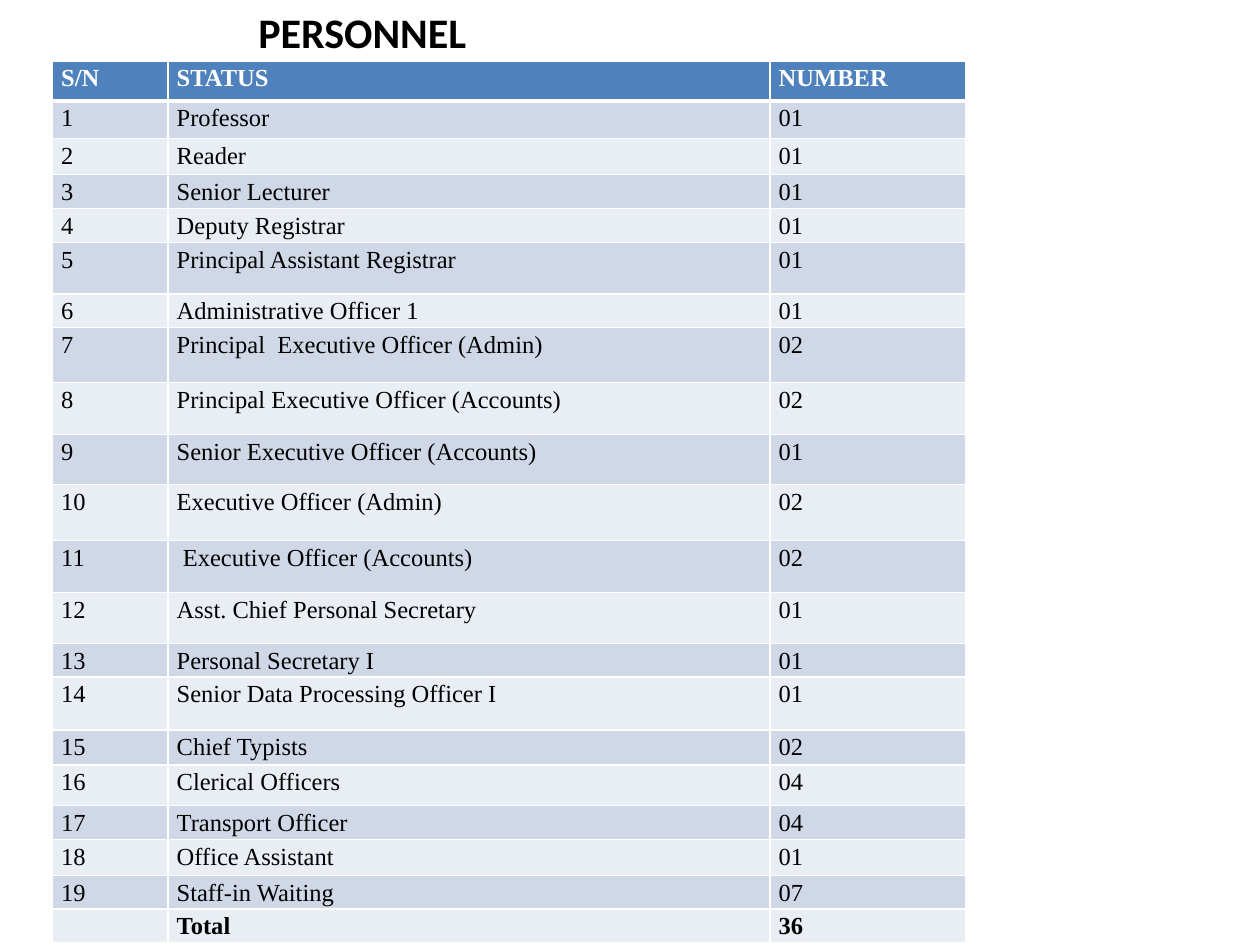
"""Builds the personnel slide: a title above a table of posts and head counts."""
from dataclasses import dataclass

from lxml import etree
from pptx import Presentation
from pptx import util as u
from pptx.dml.color import RGBColor
from pptx.enum import text
from pptx.oxml.ns import qn


@dataclass(frozen=True)
class Theme:
    white: str = "FFFFFF"
    black: str = "000000"
    header: str = "4F81BD"
    bands: tuple = ("D0D8E8", "E9EDF4")
    title_font: str = "Calibri"
    table_font: str = "Times New Roman"
    title_size: float = 24
    table_size: float = 14
    line: float = 1
    header_line: float = 3


class SlideBuilder:
    def __init__(self, slide, theme):
        self.slide = slide
        self.theme = theme

    def style(self, paragraph, font, size, colour, bold):
        for run in paragraph.runs:
            run.font.name = font
            run.font.size = u.Pt(size)
            run.font.bold = bold
            run.font.color.rgb = RGBColor.from_string(colour)

    def title(self, wording, left, top, width, height):
        heading = self.slide.shapes.title
        heading.left, heading.top = u.Pt(left), u.Pt(top)
        heading.width, heading.height = u.Pt(width), u.Pt(height)
        frame = heading.text_frame
        frame.text = wording
        frame.word_wrap = True
        frame.auto_size = text.MSO_AUTO_SIZE.SHAPE_TO_FIT_TEXT
        frame.vertical_anchor = text.MSO_ANCHOR.TOP
        paragraph = frame.paragraphs[0]
        paragraph.alignment = text.PP_ALIGN.CENTER
        self.style(paragraph, self.theme.title_font, self.theme.title_size,
                   self.theme.black, True)

    def borders(self, cell, widths):
        properties = cell._tc.get_or_add_tcPr()
        for position, (side, width) in enumerate(widths.items()):
            line = etree.Element(qn(f"a:ln{side}"), w=str(u.Pt(width)))
            fill = etree.SubElement(line, qn("a:solidFill"))
            etree.SubElement(fill, qn("a:srgbClr"), val=self.theme.white)
            properties.insert(position, line)

    def cell(self, cell, wording, fill, colour, bold, alignment, widths):
        cell.margin_left = cell.margin_right = u.Pt(5)
        cell.margin_top = cell.margin_bottom = 0
        cell.fill.solid()
        cell.fill.fore_color.rgb = RGBColor.from_string(fill)
        cell.text_frame.text = wording
        paragraph = cell.text_frame.paragraphs[0]
        paragraph.alignment = alignment
        paragraph.line_spacing = 1.15
        self.style(paragraph, self.theme.table_font, self.theme.table_size, colour, bold)
        if not wording:
            etree.SubElement(paragraph._p, qn("a:endParaRPr"),
                             sz=str(self.theme.table_size * 100))
        self.borders(cell, widths)

    def table(self, rows, left, top, widths, heights):
        theme = self.theme
        grid = self.slide.shapes.add_table(
            len(rows), len(widths), u.Pt(left), u.Pt(top),
            u.Pt(sum(widths)), u.Pt(sum(heights))).table
        for column, width in zip(grid.columns, widths):
            column.width = u.Pt(width)
        for row, height in zip(grid.rows, heights):
            row.height = u.Pt(height)
        last = len(rows) - 1
        for i, row in enumerate(rows):
            fill = theme.bands[(i - 1) % 2] if i else theme.header
            colour = theme.black if i else theme.white
            sides = {"L": theme.line, "R": theme.line,
                     "T": theme.header_line if i == 1 else theme.line,
                     "B": theme.line if i else theme.header_line}
            for j, wording in enumerate(row):
                is_count = 0 < i < last and j == 2
                alignment = text.PP_ALIGN.LEFT if is_count else text.PP_ALIGN.JUSTIFY
                self.cell(grid.cell(i, j), wording, fill, colour,
                          i in (0, last), alignment, sides)


STAFF = [
    ("Professor", "01"),
    ("Reader", "01"),
    ("Senior Lecturer", "01"),
    ("Deputy Registrar", "01"),
    ("Principal Assistant Registrar", "01"),
    ("Administrative Officer 1", "01"),
    ("Principal  Executive Officer (Admin)", "02"),
    ("Principal Executive Officer (Accounts)", "02"),
    ("Senior Executive Officer (Accounts)", "01"),
    ("Executive Officer (Admin)", "02"),
    (" Executive Officer (Accounts)", "02"),
    ("Asst. Chief Personal Secretary", "01"),
    ("Personal Secretary I", "01"),
    ("Senior Data Processing Officer I", "01"),
    ("Chief Typists", "02"),
    ("Clerical Officers", "04"),
    ("Transport Officer", "04"),
    ("Office Assistant", "01"),
    ("Staff-in Waiting", "07"),
]
ROW_HEIGHTS = [23, 21.5, 20.5, 19, 17.5, 29.5, 19, 31.3, 29.7, 28.6, 32,
               29.8, 29, 18.5, 30.2, 20, 23.3, 17.5, 20.5, 18, 18.7]


def main():
    presentation = Presentation()
    presentation.slide_width, presentation.slide_height = u.Pt(720), u.Pt(540)
    slide = presentation.slides.add_slide(presentation.slide_layouts[5])
    builder = SlideBuilder(slide, Theme())
    posts = [(str(n), status, count) for n, (status, count) in enumerate(STAFF, 1)]
    rows = [("S/N", "STATUS", "NUMBER"), *posts, ("", "Total", "36")]
    builder.table(rows, 30, 34.8, [66, 344, 112], ROW_HEIGHTS)
    builder.title("PERSONNEL", 120, 0, 174, 36)
    presentation.save("out.pptx")


if __name__ == "__main__":
    main()
